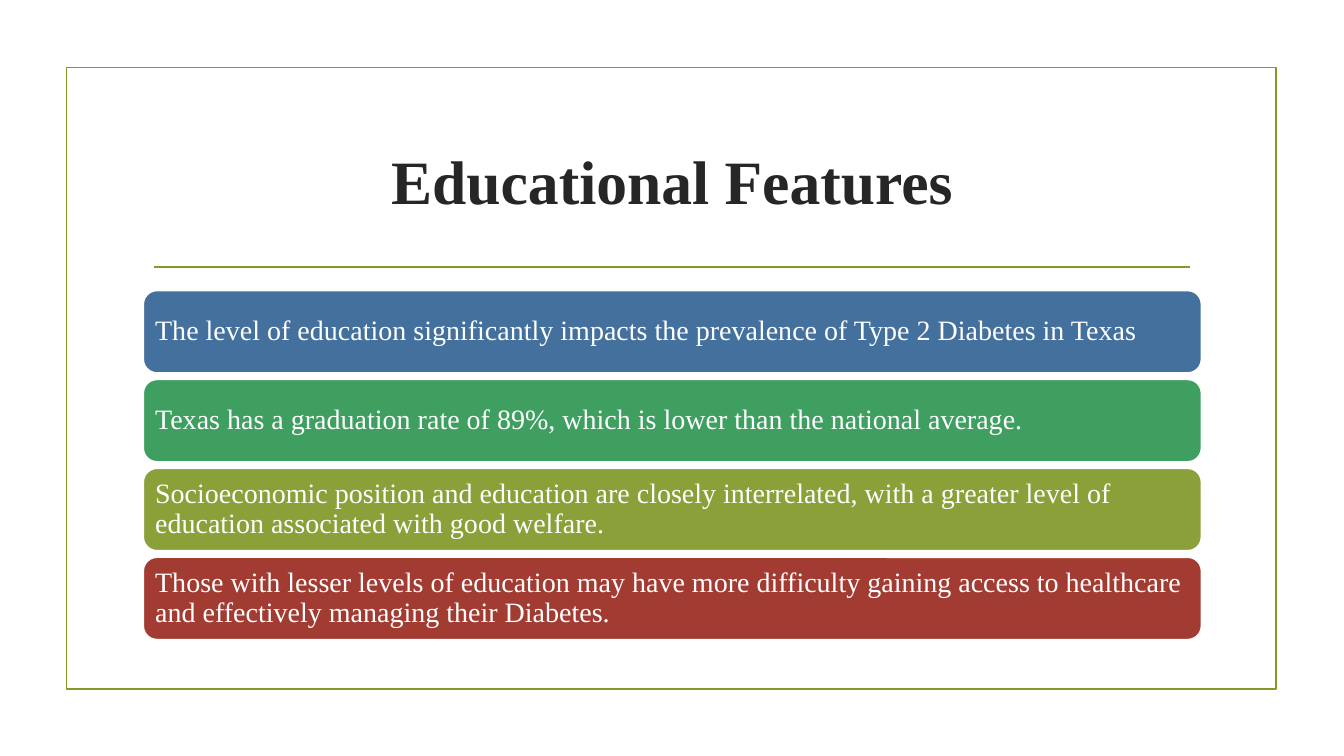
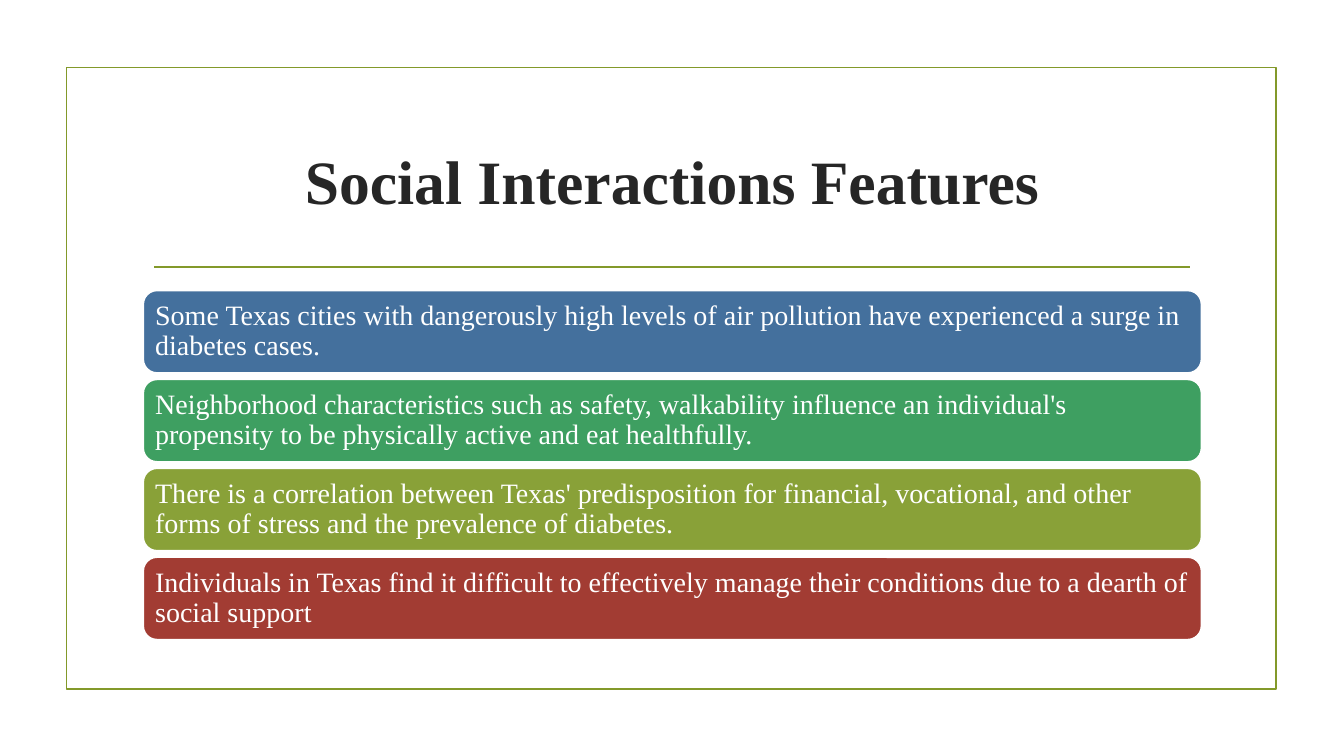
from dataclasses import dataclass

from lxml import etree
from pptx import Presentation
from pptx.dml.color import RGBColor
from pptx.enum.shapes import MSO_CONNECTOR, MSO_SHAPE
from pptx.enum.text import MSO_ANCHOR, PP_ALIGN
from pptx.oxml.ns import qn
from pptx.shapes.autoshape import Shape
from pptx.slide import Slide
from pptx.util import Cm, Pt

RECTANGLE = MSO_SHAPE.RECTANGLE
ROUNDED = MSO_SHAPE.ROUNDED_RECTANGLE
STRAIGHT = MSO_CONNECTOR.STRAIGHT
MIDDLE = MSO_ANCHOR.MIDDLE
LEFT = PP_ALIGN.LEFT
CENTER = PP_ALIGN.CENTER

FONT = "Times New Roman"
COLORS = {
    "accent": "83992A",
    "title": "262626",
    "white": "FFFFFF",
    "blue": "44709D",
    "green": "3E9F61",
    "olive": "89A138",
    "red": "A23C33",
}
BAR_COLORS = ("blue", "green", "olive", "red")
LINE_WIDTH = Pt(1.25)
CONTENT_LEFT = 3.61
CONTENT_WIDTH = 26.67
BAR_TOP = 7.32
BAR_HEIGHT = 2.08
BAR_PITCH = 2.24
BAR_INSET = 0.2


@dataclass(frozen=True)
class Topic:
    """A slide title and the statements listed below it."""

    title: str
    statements: tuple[str, ...]


@dataclass(frozen=True)
class Box:
    """A position and size in centimetres."""

    left: float
    top: float
    width: float
    height: float

    def lengths(self) -> tuple[Cm, Cm, Cm, Cm]:
        """Return left, top, width and height as lengths."""
        return Cm(self.left), Cm(self.top), Cm(self.width), Cm(self.height)


FRAME_BOX = Box(1.68, 1.7, 30.48, 15.67)
TITLE_BOX = Box(CONTENT_LEFT, 2.72, CONTENT_WIDTH, 3.63)

TOPICS = (
    Topic("Educational Features", (
        "The level of education significantly impacts the prevalence of Type 2 Diabetes in Texas",
        "Texas has a graduation rate of 89%, which is lower than the national average.",
        "Socioeconomic position and education are closely interrelated, with a greater level of "
        "education associated with good welfare.",
        "Those with lesser levels of education may have more difficulty gaining access to "
        "healthcare and effectively managing their Diabetes.",
    )),
    Topic("Social Interactions Features", (
        "Some Texas cities with dangerously high levels of air pollution have experienced a surge "
        "in diabetes cases.",
        "Neighborhood characteristics such as safety, walkability influence an individual's "
        "propensity to be physically active and eat healthfully.",
        "There is a correlation between Texas' predisposition for financial, vocational, and other "
        "forms of stress and the prevalence of diabetes.",
        "Individuals in Texas find it difficult to effectively manage their conditions due to a "
        "dearth of social support",
    )),
)


def color(name: str) -> RGBColor:
    """Return the named palette colour."""
    return RGBColor.from_string(COLORS[name])


def write_text(shape: Shape, text: str, *, size: float, color_name: str, bold: bool = False,
               alignment: PP_ALIGN = LEFT, line_spacing: float = 1.0,
               inset: float = 0.25) -> None:
    """Write one vertically centred paragraph into a shape."""
    frame = shape.text_frame
    frame.word_wrap = True
    frame.vertical_anchor = MIDDLE
    frame.margin_left = frame.margin_right = Cm(inset)
    frame.margin_top = frame.margin_bottom = Cm(min(inset, 0.2))
    paragraph = frame.paragraphs[0]
    paragraph.alignment = alignment
    paragraph.line_spacing = line_spacing
    run = paragraph.add_run()
    run.text = text
    run.font.name = FONT
    run.font.size = Pt(size)
    run.font.bold = bold
    run.font.color.rgb = color(color_name)


def add_box(slide: Slide, kind: MSO_SHAPE, box: Box, *, line: str,
            fill: str | None = None) -> Shape:
    """Add a flat outlined shape, filled when a colour is given."""
    shape = slide.shapes.add_shape(kind, *box.lengths())
    shape.shadow.inherit = False
    shape.line.color.rgb = color(line)
    shape.line.width = LINE_WIDTH
    if fill:
        shape.fill.solid()
        shape.fill.fore_color.rgb = color(fill)
    else:
        shape.fill.background()
    return shape


def add_title_rule(slide: Slide) -> None:
    """Draw the rule under the title."""
    rule = slide.shapes.add_connector(STRAIGHT, Cm(3.89), Cm(6.73), Cm(30), Cm(6.73))
    rule.line.color.rgb = color("accent")
    rule.line.width = LINE_WIDTH
    etree.SubElement(rule._element.spPr, qn("a:effectLst"))


def add_topic_slide(presentation: Presentation, topic: Topic) -> None:
    """Add a framed slide with a title and a stack of coloured bars."""
    slide = presentation.slides.add_slide(presentation.slide_layouts[6])
    add_box(slide, RECTANGLE, FRAME_BOX, line="accent")
    add_title_rule(slide)
    title = slide.shapes.add_textbox(*TITLE_BOX.lengths())
    write_text(title, topic.title, size=44, color_name="title", bold=True, alignment=CENTER)
    for index, (statement, fill) in enumerate(zip(topic.statements, BAR_COLORS)):
        box = Box(CONTENT_LEFT, BAR_TOP + index * BAR_PITCH, CONTENT_WIDTH, BAR_HEIGHT)
        bar = add_box(slide, ROUNDED, box, line="white", fill=fill)
        write_text(bar, statement, size=20, color_name="white", line_spacing=0.9,
                   inset=BAR_INSET)


def main() -> None:
    """Build and save the presentation."""
    presentation = Presentation()
    presentation.slide_width = Cm(33.87)
    presentation.slide_height = Cm(19.05)
    for topic in TOPICS:
        add_topic_slide(presentation, topic)
    presentation.save("out.pptx")


if __name__ == "__main__":
    main()
